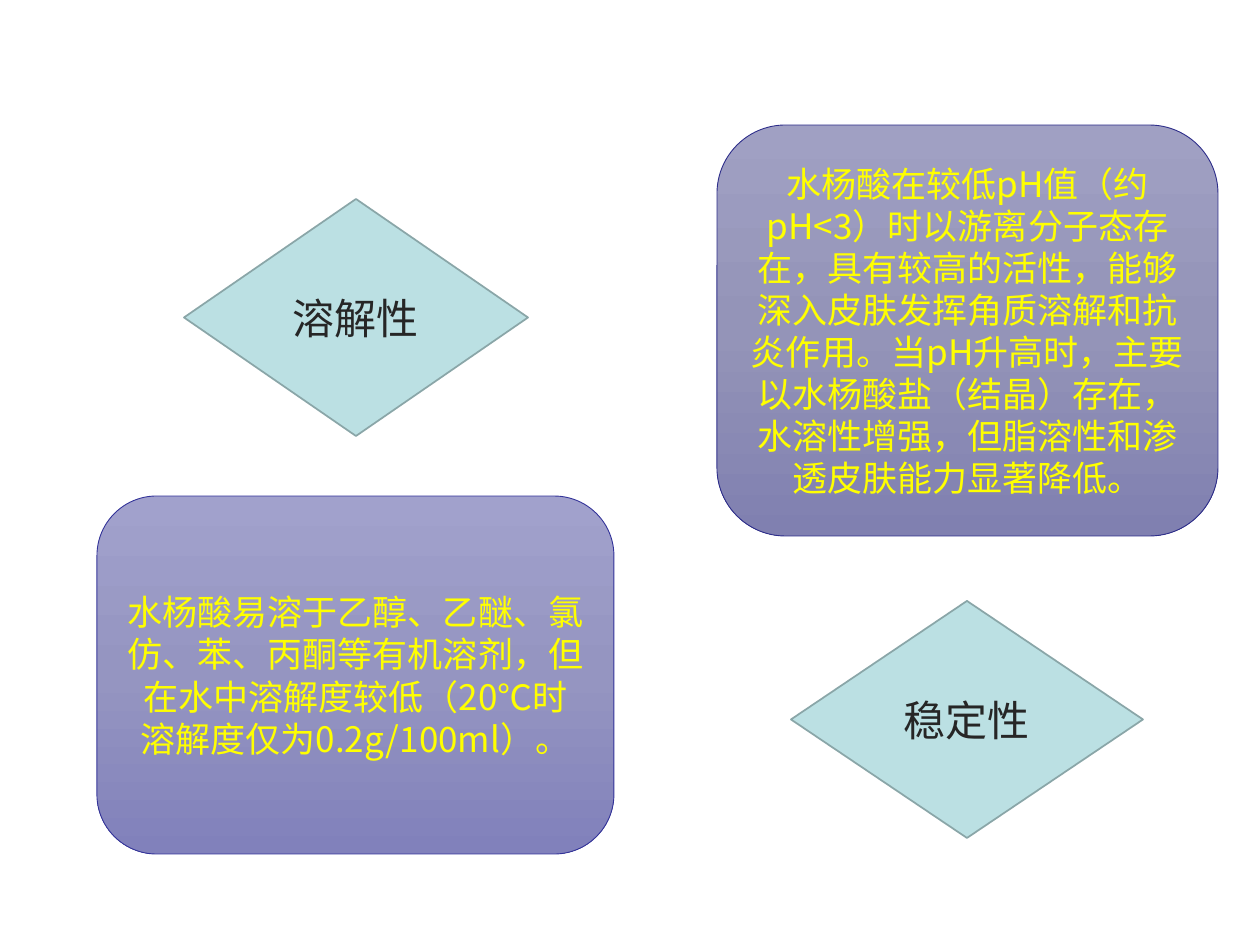
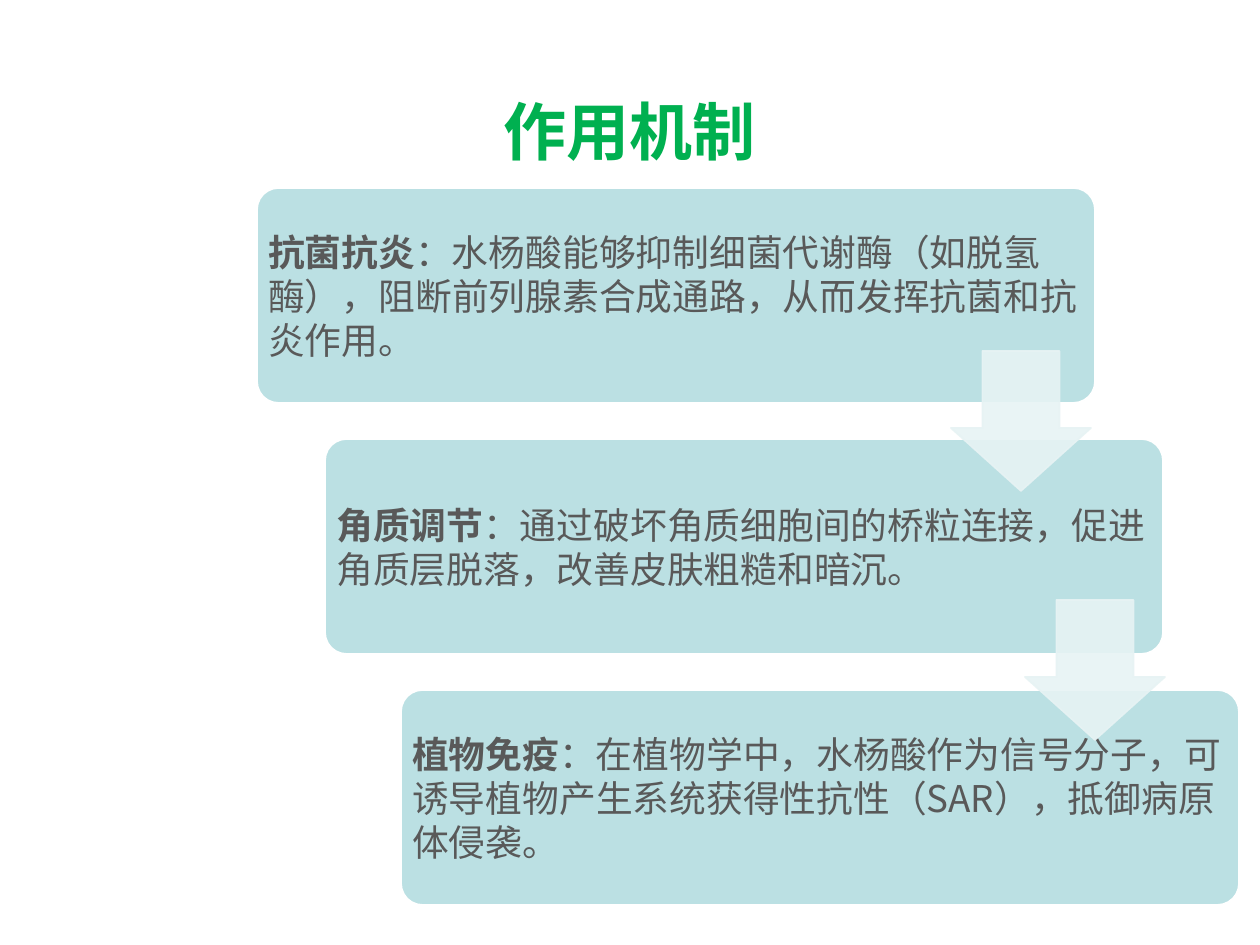
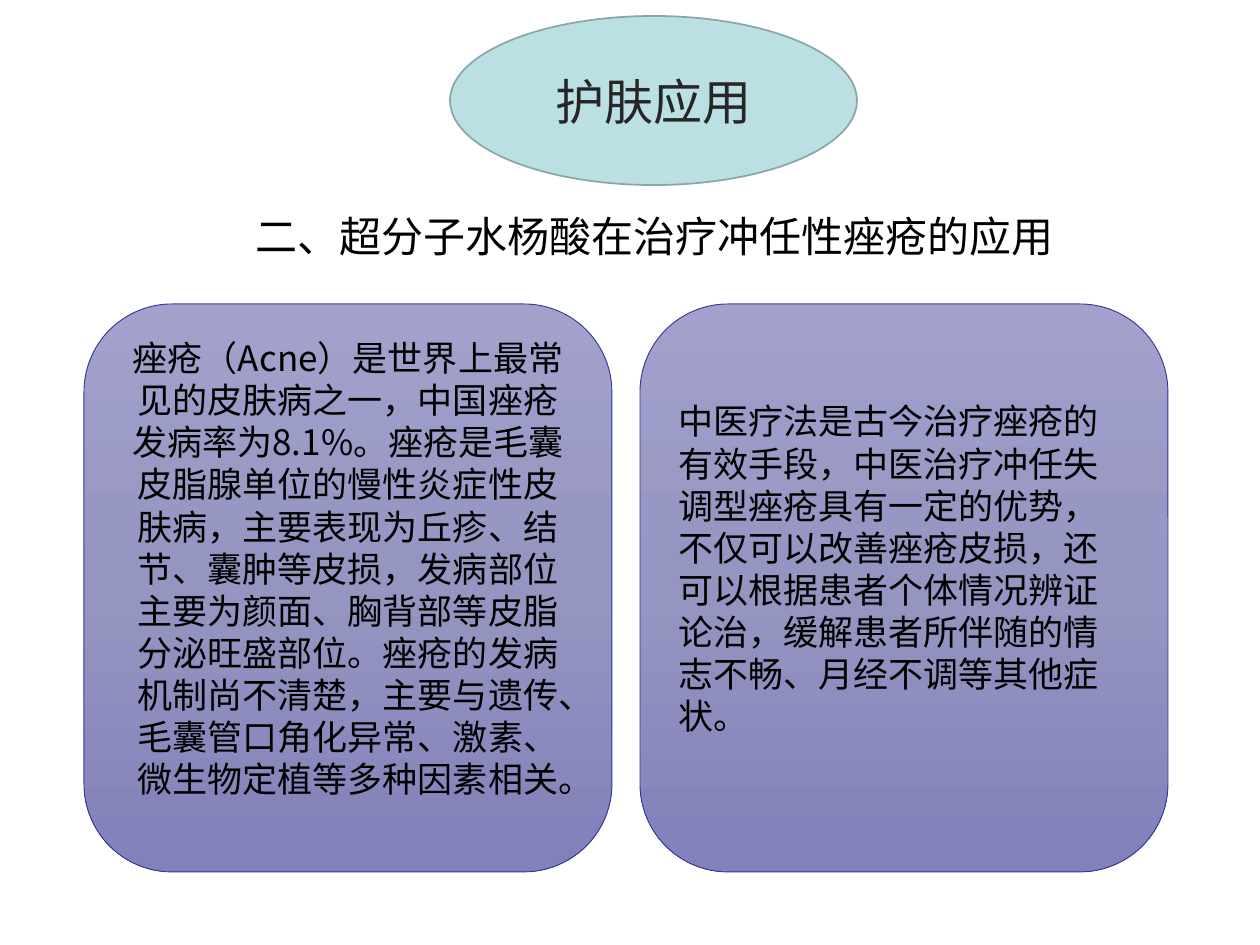
"""Build three slides on the properties, mechanism and skin-care use of salicylic acid."""
from copy import deepcopy

from lxml.etree import SubElement
from pptx import Presentation
from pptx.dml.color import RGBColor
from pptx.enum.shapes import MSO_SHAPE
from pptx.enum.text import MSO_ANCHOR, PP_ALIGN
from pptx.oxml.ns import qn
from pptx.util import Emu, Pt

PX = 914400 / 126
TEAL = RGBColor(0xBB, 0xE0, 0xE3)
TEAL_EDGE = RGBColor(0x8A, 0xA6, 0xA8)
PALE_TEAL = RGBColor(0xE7, 0xF3, 0xF4)
INDIGO = RGBColor(0x33, 0x33, 0x99)
DARK_INDIGO = RGBColor(0x2D, 0x2D, 0x8A)
WHITE = RGBColor(0xFF, 0xFF, 0xFF)
BLACK = RGBColor(0x00, 0x00, 0x00)
YELLOW = RGBColor(0xFF, 0xFF, 0x00)
GREEN = RGBColor(0x00, 0xB0, 0x50)
CHARCOAL = RGBColor(0x26, 0x26, 0x26)
GRAY = RGBColor(0x59, 0x59, 0x59)
VIOLETS = [RGBColor(0xA1, 0xA1, 0xCC), RGBColor(0x95, 0x95, 0xC1), RGBColor(0x81, 0x81, 0xBB)]
MUTED_VIOLETS = [RGBColor(0xA0, 0xA0, 0xC3), RGBColor(0x94, 0x94, 0xB8), RGBColor(0x80, 0x80, 0xB0)]
SANS = "Noto Sans CJK SC"
LINE_HEIGHT = 1.2


def add_panel(slide, kind, box, fill, edge, edge_width=1):
    """Add a preset shape with a solid fill, or a gradient when fill is a list."""
    shape = slide.shapes.add_shape(kind, *[Emu(round(length * PX)) for length in box])
    shape.shadow.inherit = False
    shape.line.color.rgb = edge
    shape.line.width = Pt(edge_width)
    if isinstance(fill, list):
        shape.fill.gradient()
        shape.fill.gradient_angle = 270
        stops = shape._element.spPr.find(qn("a:gradFill")).find(qn("a:gsLst"))
        stops.append(deepcopy(stops[-1]))
        for stop, color, position in zip(shape.fill.gradient_stops, fill, (0, 0.5, 1)):
            stop.color.rgb = color
            stop.position = position
    else:
        shape.fill.solid()
        shape.fill.fore_color.rgb = fill
    return shape


def write_text(shape, runs, size, color, align=PP_ALIGN.CENTER, anchor=MSO_ANCHOR.MIDDLE):
    """Write one paragraph from (text, font, bold) runs."""
    frame = shape.text_frame
    frame.word_wrap = True
    frame.vertical_anchor = anchor
    paragraph = frame.paragraphs[0]
    paragraph.alignment = align
    paragraph.line_spacing = Pt(size * LINE_HEIGHT)
    for text, name, bold in runs:
        run = paragraph.add_run()
        run.text = text
        for key, value in {"name": name, "size": Pt(size), "bold": bold}.items():
            setattr(run.font, key, value)
        run.font.color.rgb = color
        SubElement(run.font._element, qn("a:ea"), typeface=SANS)


presentation = Presentation()
presentation.slide_width = Emu(round(1260 * PX))
presentation.slide_height = Emu(round(945 * PX))
properties, mechanism, skin_care = [
    presentation.slides.add_slide(presentation.slide_layouts[6]) for _ in range(3)
]

PROPERTIES = [
    ("溶解性", (184, 199, 344, 237), MSO_SHAPE.ROUNDED_RECTANGLE, (97, 496, 517, 358), VIOLETS, INDIGO,
     [("水杨酸易溶于乙醇、乙醚、氯仿、苯、丙酮等有机溶剂，但在水中溶解度较低（20℃时溶解度仅为0.2g/100ml）", SANS, False),
      ("。", "Arial", False)]),
    ("稳定性", (791, 601, 352, 237), MSO_SHAPE.FLOWCHART_ALTERNATE_PROCESS, (717, 125, 501, 411),
     MUTED_VIOLETS, DARK_INDIGO,
     [("水杨酸在较低pH值（约pH<3）时以游离分子态存在，具有较高的活性，能够深入皮肤发挥角质溶解和抗炎作用。"
       "当pH升高时，主要以水杨酸盐（结晶）存在，水溶性增强，但脂溶性和渗透皮肤能力显著降低。", SANS, False)]),
]
for name, diamond_box, kind, detail_box, gradient, edge, runs in PROPERTIES:
    diamond = add_panel(properties, MSO_SHAPE.FLOWCHART_DECISION, diamond_box, TEAL, TEAL_EDGE)
    write_text(diamond, [(name, SANS, False)], 24, CHARCOAL)
    detail = add_panel(properties, kind, detail_box, gradient, edge, 0.5)
    write_text(detail, runs, 20, YELLOW)

title = mechanism.shapes.add_textbox(*[Emu(round(length * PX)) for length in (350, 86, 558, 89)])
write_text(title, [("作用机制", "Times New Roman", True)], 36, GREEN, anchor=MSO_ANCHOR.TOP)

STEPS = [
    (257, "抗菌抗炎", "：水杨酸能够抑制细菌代谢酶（如脱氢酶），阻断前列腺素合成通路，从而发挥抗菌和抗炎作用。"),
    (325, "角质调节", "：通过破坏角质细胞间的桥粒连接，促进角质层脱落，改善皮肤粗糙和暗沉。"),
    (401, "植物免疫", "：在植物学中，水杨酸作为信号分子，可诱导植物产生系统获得性抗性（SAR），抵御病原体侵袭。"),
]
for index, (left, effect, explanation) in enumerate(STEPS):
    step = add_panel(mechanism, MSO_SHAPE.ROUNDED_RECTANGLE, (left, 188 + 251 * index, 838, 215), TEAL, WHITE)
    step.adjustments[0] = 0.1
    for side in ("left", "top", "right", "bottom"):
        setattr(step.text_frame, f"margin_{side}", Emu(round(5 * PX)))
    write_text(step, [(effect, SANS, True), (explanation, SANS, False)], 21, GRAY, PP_ALIGN.LEFT)

for left, top in ((951, 351), (1025, 600)):
    arrow = add_panel(mechanism, MSO_SHAPE.DOWN_ARROW, (left, top, 140, 140), PALE_TEAL, PALE_TEAL)
    arrow.adjustments[0] = 0.55
    arrow.adjustments[1] = 0.45
    for color in arrow._element.spPr.iter(qn("a:srgbClr")):
        SubElement(color, qn("a:alpha"), val="90000")

topic = add_panel(skin_care, MSO_SHAPE.OVAL, (450, 16, 407, 169), TEAL, TEAL_EDGE)
write_text(topic, [("护肤应用", "Arial", False)], 28, CHARCOAL)
heading = skin_care.shapes.add_textbox(*[Emu(round(length * PX)) for length in (243, 204, 868, 56)])
write_text(heading, [("二、超分子水杨酸在治疗冲任性痤疮的应用", SANS, False)], 24, BLACK,
           PP_ALIGN.LEFT, MSO_ANCHOR.TOP)

ACNE_TEXTS = [
    (PP_ALIGN.CENTER,
     "痤疮（Acne）是世界上最常见的皮肤病之一，中国痤疮发病率为8.1%。痤疮是毛囊皮脂腺单位的慢性炎症性皮肤病，"
     "主要表现为丘疹、结节、囊肿等皮损，发病部位主要为颜面、胸背部等皮脂分泌旺盛部位。"
     "痤疮的发病机制尚不清楚，主要与遗传、毛囊管口角化异常、激素、微生物定植等多种因素相关。"),
    (PP_ALIGN.LEFT,
     "中医疗法是古今治疗痤疮的有效手段，中医治疗冲任失调型痤疮具有一定的优势，不仅可以改善痤疮皮损，"
     "还可以根据患者个体情况辨证论治，缓解患者所伴随的情志不畅、月经不调等其他症状。"),
]
for index, (align, text) in enumerate(ACNE_TEXTS):
    card = add_panel(skin_care, MSO_SHAPE.ROUNDED_RECTANGLE, (84 + 556 * index, 304, 528, 568),
                     VIOLETS, INDIGO, 0.5)
    card.text_frame.margin_bottom = Emu(round(46 * PX))
    write_text(card, [(text, SANS, False)], 20, BLACK, align)

presentation.save("out.pptx")
